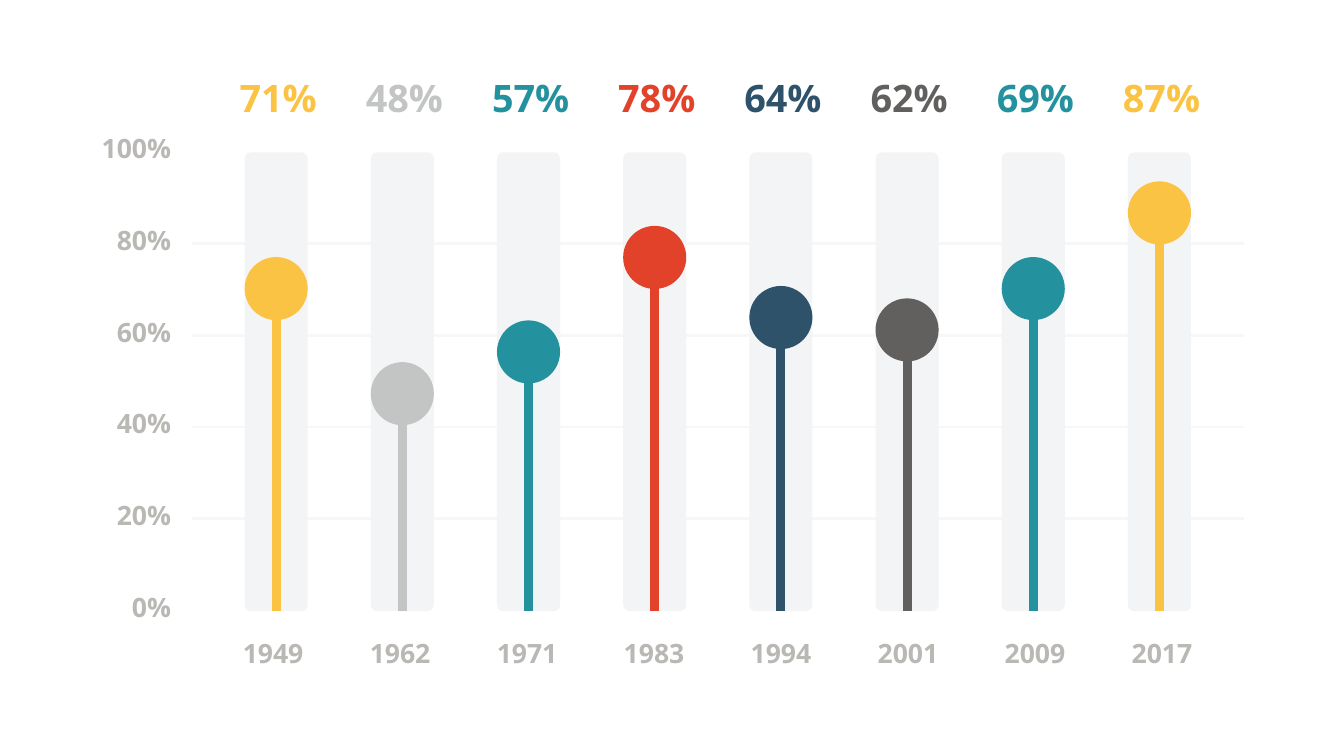
from lxml import etree
from pptx import Presentation
from pptx.dml.color import RGBColor
from pptx.enum.shapes import MSO_CONNECTOR, MSO_SHAPE
from pptx.enum.text import MSO_ANCHOR, PP_ALIGN
from pptx.oxml.ns import qn
from pptx.util import Cm, Pt

LINE = MSO_CONNECTOR.STRAIGHT
OVAL = MSO_SHAPE.OVAL
ROUND = MSO_SHAPE.ROUNDED_RECTANGLE
LEFT, RIGHT = PP_ALIGN.LEFT, PP_ALIGN.RIGHT

COLORS = {
    "gold": "FAC344", "silver": "C3C5C4", "teal": "23929E", "red": "E2412A",
    "navy": "2F526B", "gray": "61605E", "label": "BAB8B4", "rail": "F3F4F5",
    "grid": "F7F7F7",
}
BIG = {"name": "Open Sans", "size": Pt(27), "bold": True}
SMALL = {"name": "Open Sans", "size": Pt(19), "bold": True}
FRAME = {"word_wrap": True, "vertical_anchor": MSO_ANCHOR.TOP, "margin_left": 0,
         "margin_right": 0, "margin_top": 0, "margin_bottom": 0}

# year, percent shown, height of the ball on the scale, color
DATA = [
    ("1949", "71%", 70.3, "gold"),
    ("1962", "48%", 47.4, "silver"),
    ("1971", "57%", 56.5, "teal"),
    ("1983", "78%", 77.1, "red"),
    ("1994", "64%", 64, "navy"),
    ("2001", "62%", 61.3, "gray"),
    ("2009", "69%", 70.3, "teal"),
    ("2017", "87%", 86.8, "gold"),
]
TOP, BASE = 3.84, 15.4
FIRST, STEP = 6.96, 3.18
BALL = 1.59
TICK = 2.31


def assign(item, values):
    for name, value in values.items():
        setattr(item, name, value)


class Board:
    """Draws on one slide; all lengths are in centimetres."""

    def __init__(self, slide, colors):
        self.shapes = slide.shapes
        self.colors = colors

    def color(self, name):
        return RGBColor.from_string(self.colors[name])

    def line(self, x1, y1, x2, y2, color, width):
        line = self.shapes.add_connector(LINE, Cm(x1), Cm(y1), Cm(x2), Cm(y2))
        line.line.color.rgb = self.color(color)
        line.line.width = Pt(width)
        etree.SubElement(line._element.spPr, qn("a:effectLst"))

    def shape(self, kind, x, y, width, height, color):
        shape = self.shapes.add_shape(kind, Cm(x), Cm(y), Cm(width), Cm(height))
        shape.shadow.inherit = False
        shape.fill.solid()
        shape.fill.fore_color.rgb = self.color(color)
        shape.line.fill.background()
        return shape

    def text(self, words, x, y, width, height, color, font, align=LEFT):
        box = self.shapes.add_textbox(Cm(x), Cm(y), Cm(width), Cm(height))
        assign(box.text_frame, FRAME)
        para = box.text_frame.paragraphs[0]
        para.alignment = align
        run = para.add_run()
        run.text = words
        assign(run.font, font)
        run.font.color.rgb = self.color(color)


def main():
    deck = Presentation()
    deck.slide_width, deck.slide_height = Cm(33.87), Cm(19.05)
    board = Board(deck.slides.add_slide(deck.slide_layouts[6]), COLORS)

    for row in range(1, 5):
        y = BASE - 0.02 - row * TICK
        board.line(4.85, y, 31.34, y, "grid", 2)

    for col in range(len(DATA)):
        x = FIRST + col * STEP - BALL / 2
        rail = board.shape(ROUND, x, TOP, BALL, BASE - TOP, "rail")
        rail.adjustments[0] = 0.1

    for col, (year, share, level, color) in enumerate(DATA):
        x = FIRST + col * STEP
        y = BASE - (BASE - TOP) * level / 100
        board.shape(OVAL, x - BALL / 2, y - BALL / 2, BALL, BALL, color)
        board.line(x, y, x, BASE, color, 6.38)
        board.text(share, x - 0.92, 1.88, 2.46, 1.57, color, BIG)
        board.text(year, 6.12 + col * 3.2, 16.05, 1.96, 1.12, "label", SMALL)

    for row in range(6):
        y = 14.88 - row * TICK
        board.text(f"{row * 20}%", 2.15, y, 2.16, 1.12, "label", SMALL, RIGHT)

    deck.save("out.pptx")


if __name__ == "__main__":
    main()
